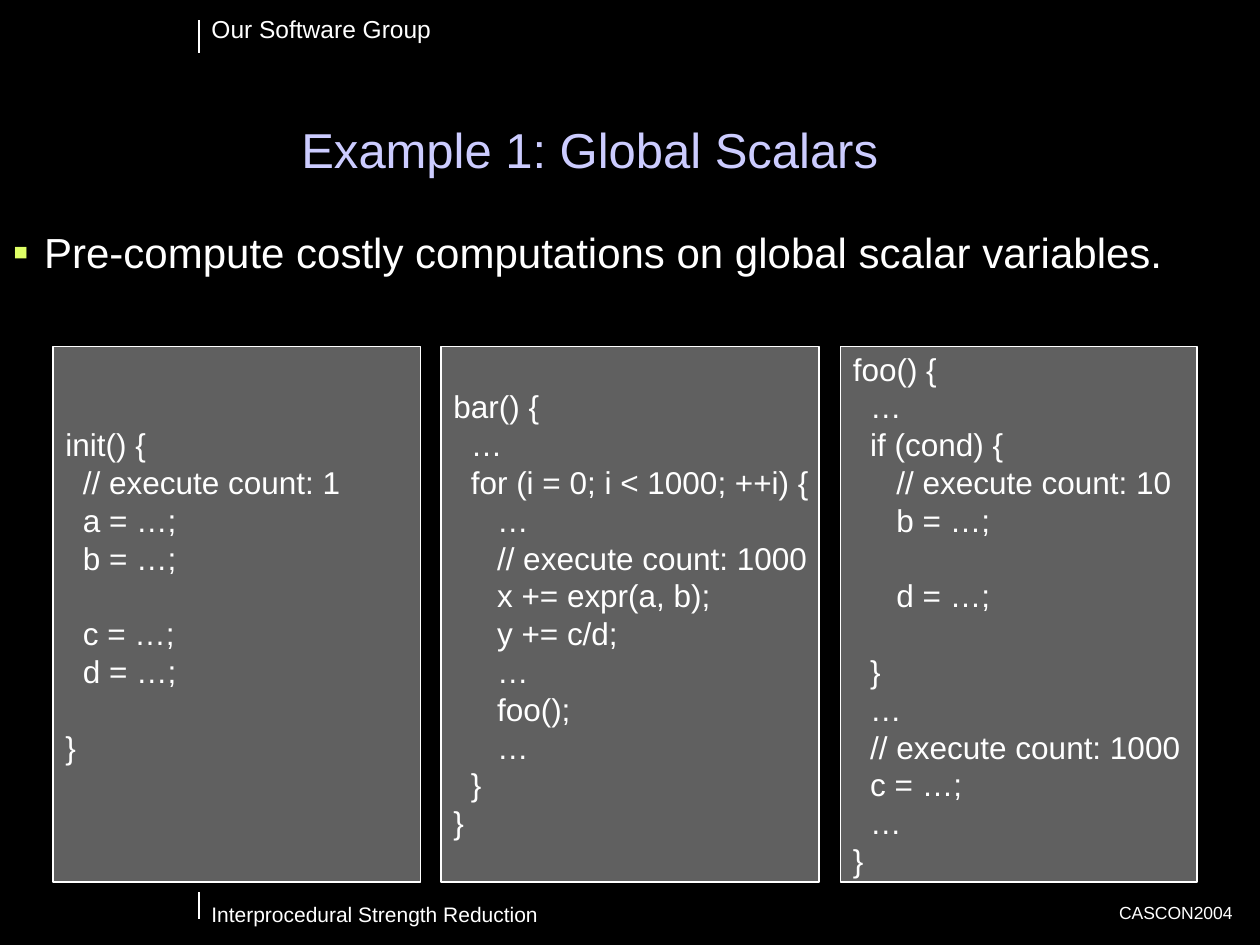
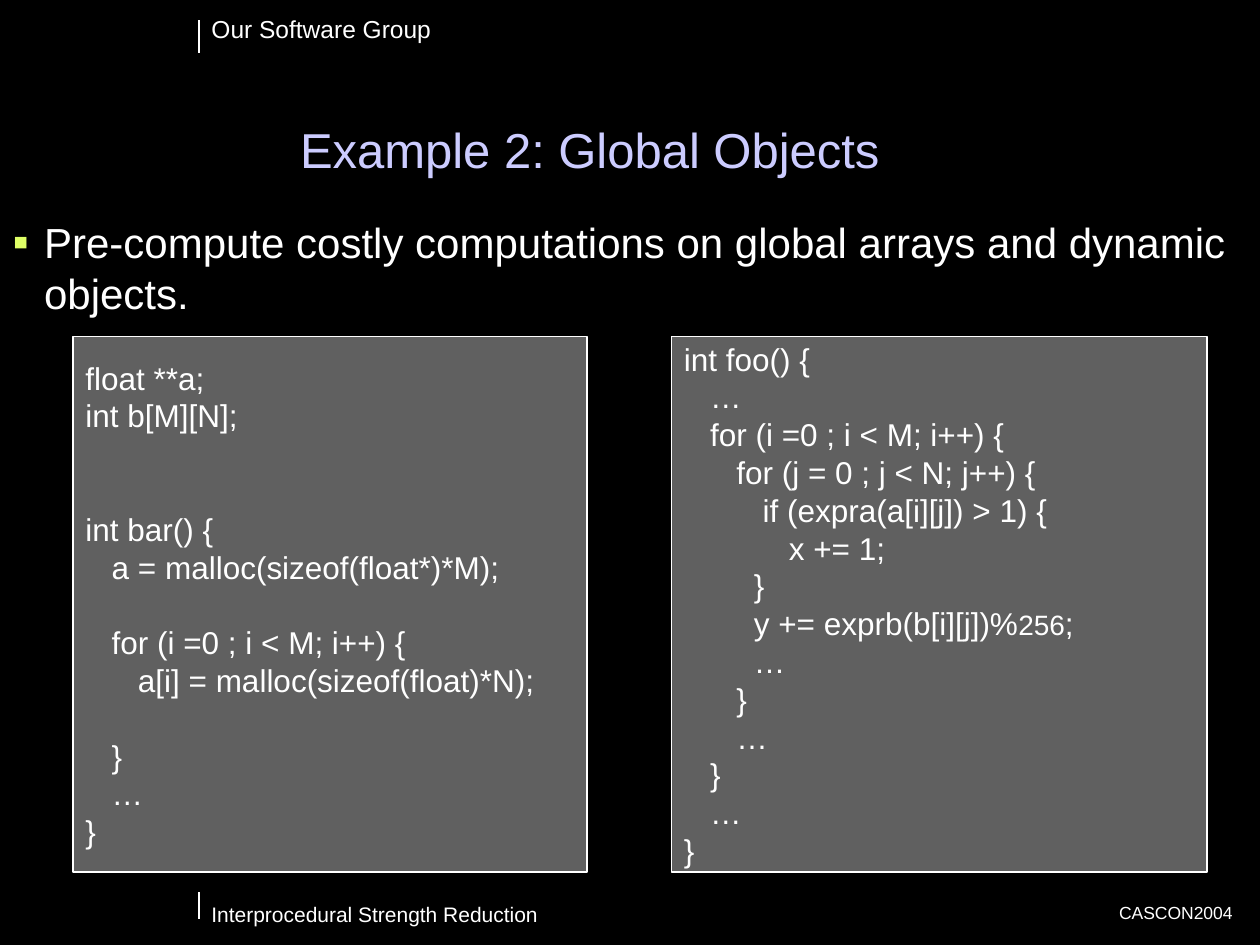
from lxml.etree import SubElement
from pptx import Presentation
from pptx.dml.color import RGBColor
from pptx.enum.shapes import MSO_CONNECTOR, MSO_SHAPE
from pptx.enum.text import MSO_ANCHOR, MSO_AUTO_SIZE, PP_ALIGN
from pptx.oxml.ns import qn
from pptx.util import Inches, Pt

BLACK, WHITE, LAVENDER, LIME, SILVER = "000000", "FFFFFF", "CCCCFF", "DFFF66", "C0C0C0"
FONT = "Arial"
CODE_SIZE = 18
CODE_LINE_HEIGHT = 21.6  # points
CODE_BOX_HEIGHT = 4.25

# text, left, top, width, height, size, alignment
BAND_TEXTS = [
    ("Our Software Group", 1.58, 0.06, 1.96, 0.34, 14, PP_ALIGN.LEFT),
    ("Interprocedural Strength Reduction", 1.58, 7.11, 6.5, 0.3, 12, PP_ALIGN.LEFT),
    ("CASCON2004", 6.26, 7.11, 3.62, 0.27, 10, PP_ALIGN.RIGHT),
]
BAND_RULE_LEFT = 1.58
BAND_RULES = [(0.16, 0.42), (7.08, 7.29)]

SCALAR_INIT = """init() {
  // execute count: 1
  a = …;
  b = …;

  c = …;
  d = …;

}
"""
SCALAR_BAR = """bar() {
  …
  for (i = 0; i < 1000; ++i) {
     …
     // execute count: 1000
     x += expr(a, b);
     y += c/d;
     …
     foo();
     …
  }
}"""
SCALAR_FOO = """foo() {
  …
  if (cond) {
     // execute count: 10
     b = …;

     d = …;

  }
  …
  // execute count: 1000
  c = …;
  …
}"""
OBJECT_BAR = """float **a;
int b[M][N];


int bar() {
   a = malloc(sizeof(float*)*M);

   for (i =0 ; i < M; i++) {
      a[i] = malloc(sizeof(float)*N);

   }
   …
}"""
OBJECT_FOO = """int foo() {
   …
   for (i =0 ; i < M; i++) {
      for (j = 0 ; j < N; j++) {
         if (expra(a[i][j]) > 1) {
            x += 1;
        }
        y += exprb(b[i][j])%256;
        …
      }
      …
   }
   …
}"""

SLIDES = [
    {
        "title": "Example 1: Global Scalars",
        "point": "Pre-compute costly computations on global scalar variables.",
        "body_top": 1.75,
        "code_top": 2.75,
        "code": [(0.42, 2.92, SCALAR_INIT), (3.5, 3, SCALAR_BAR), (6.67, 2.83, SCALAR_FOO)],
    },
    {
        "title": "Example 2: Global Objects",
        "point": "Pre-compute costly computations on global arrays and dynamic objects.",
        "body_top": 1.67,
        "code_top": 2.67,
        "code": [(0.58, 4.08, OBJECT_BAR), (5.33, 4.25, OBJECT_FOO)],
    },
]


def color(hex_string):
    return RGBColor.from_string(hex_string)


def add_run(paragraph, text, size, hex_string=WHITE):
    run = paragraph.add_run()
    run.text = text
    for name, value in {"name": FONT, "size": Pt(size), "bold": False}.items():
        setattr(run.font, name, value)
    run.font.color.rgb = color(hex_string)


presentation = Presentation()
presentation.slide_width = Inches(10)
presentation.slide_height = Inches(7.5)
background = presentation.slide_master.background.fill
background.solid()
background.fore_color.rgb = color(BLACK)

for content in SLIDES:
    slide = presentation.slides.add_slide(presentation.slide_layouts[1])

    # Header and footer bands
    for text, left, top, width, height, size, alignment in BAND_TEXTS:
        box = slide.shapes.add_textbox(Inches(left), Inches(top), Inches(width), Inches(height))
        box.text_frame.word_wrap = True
        paragraph = box.text_frame.paragraphs[0]
        paragraph.alignment = alignment
        add_run(paragraph, text, size)
    for top, bottom in BAND_RULES:
        rule = slide.shapes.add_connector(
            MSO_CONNECTOR.STRAIGHT,
            Inches(BAND_RULE_LEFT), Inches(top), Inches(BAND_RULE_LEFT), Inches(bottom),
        )
        rule.line.color.rgb = color(WHITE)
        rule.line.width = Pt(0.75)
        SubElement(rule._element.spPr, qn("a:effectLst"))

    # Title and bullet
    title = slide.shapes.title
    body = slide.placeholders[1]
    for placeholder, position in (
        (title, (0.17, 0.95, 9.02, 0.55)),
        (body, (0, content["body_top"], 10, 1.17)),
    ):
        for name, value in zip(("left", "top", "width", "height"), position):
            setattr(placeholder, name, Inches(value))
        placeholder.text_frame.auto_size = MSO_AUTO_SIZE.NONE
        placeholder.text_frame.vertical_anchor = MSO_ANCHOR.TOP
    paragraph = title.text_frame.paragraphs[0]
    paragraph.alignment = PP_ALIGN.CENTER
    paragraph.line_spacing = 0.9
    add_run(paragraph, content["title"], 28, LAVENDER)

    paragraph = body.text_frame.paragraphs[0]
    properties = paragraph._p.get_or_add_pPr()
    properties.set("marL", str(Inches(0.25)))
    properties.set("indent", str(-Inches(0.25)))
    SubElement(SubElement(properties, qn("a:buClr")), qn("a:srgbClr"), val=LIME)
    SubElement(properties, qn("a:buSzPct"), val="110000")
    SubElement(properties, qn("a:buFont"), typeface=FONT)
    SubElement(properties, qn("a:buChar"), char="▪")
    paragraph.space_before = Pt(0)
    add_run(paragraph, content["point"], 24)

    # Code boxes
    for left, width, code in content["code"]:
        box = slide.shapes.add_shape(
            MSO_SHAPE.RECTANGLE,
            Inches(left), Inches(content["code_top"]), Inches(width), Inches(CODE_BOX_HEIGHT),
        )
        box.shadow.inherit = False
        box.fill.solid()
        box.fill.fore_color.rgb = color(SILVER)
        fill_color = box.fill._xPr.find(qn("a:solidFill")).find(qn("a:srgbClr"))
        SubElement(fill_color, qn("a:alpha"), val="50000")
        box.line.color.rgb = color(WHITE)
        box.line.width = Pt(0.75)
        frame = box.text_frame
        frame.word_wrap = False
        frame.vertical_anchor = MSO_ANCHOR.MIDDLE

        # An empty code line becomes space before the next line
        paragraph = frame.paragraphs[0]
        empty_lines = 0
        for number, line in enumerate(code.split("\n")):
            if not line:
                empty_lines += 1
                continue
            if number:
                paragraph = frame.add_paragraph()
            paragraph.alignment = PP_ALIGN.LEFT
            paragraph.space_before = Pt(empty_lines * CODE_LINE_HEIGHT)
            empty_lines = 0
            for piece, size in zip(line.partition("256"), (CODE_SIZE, 16, CODE_SIZE)):
                if piece:
                    add_run(paragraph, piece, size)
        frame.margin_bottom = Inches(0.05) + Pt(empty_lines * CODE_LINE_HEIGHT)

presentation.save("out.pptx")
